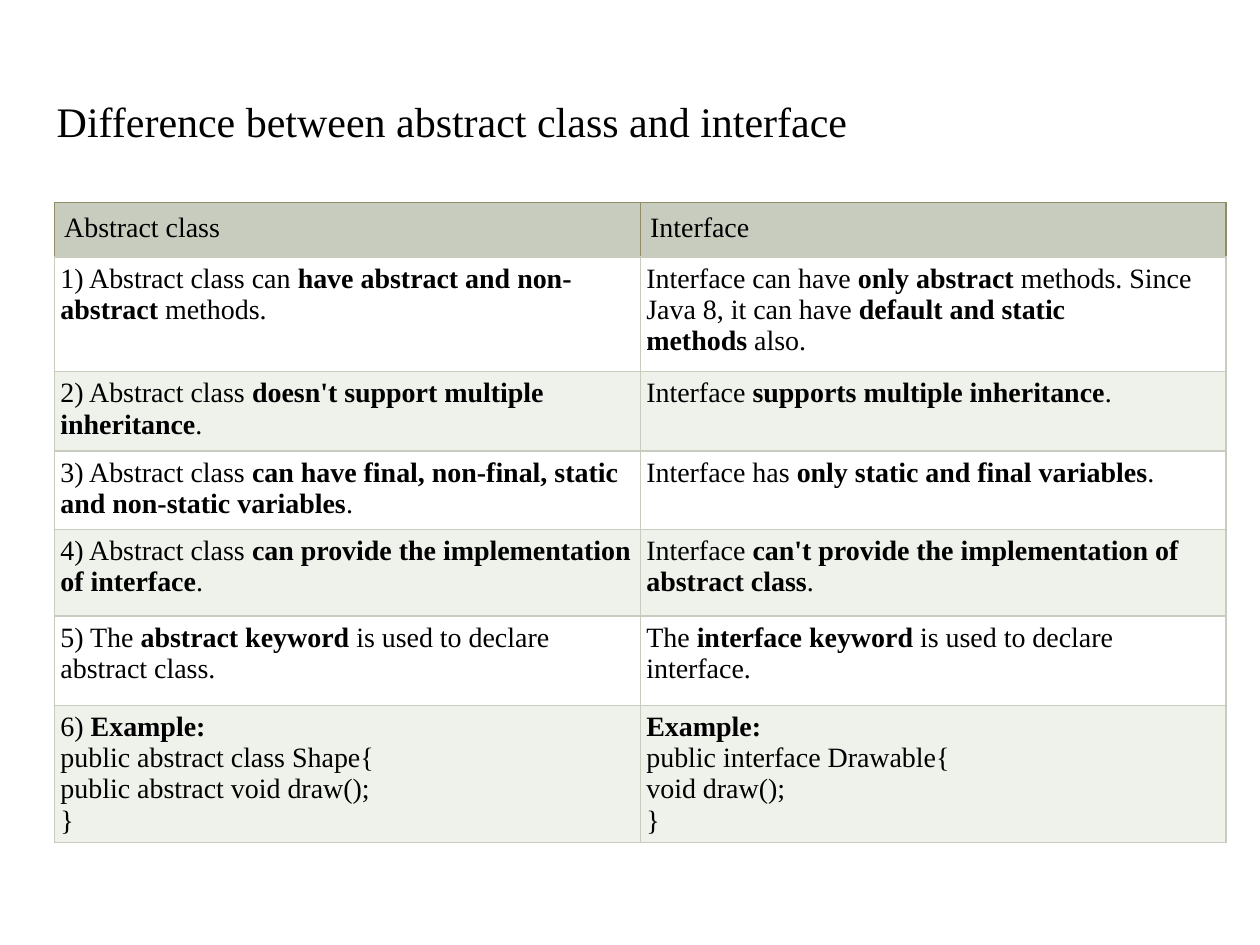
from lxml import etree
from pptx import Presentation
from pptx.dml.color import RGBColor
from pptx.enum.text import MSO_ANCHOR, PP_ALIGN
from pptx.oxml.ns import qn
from pptx.util import Inches, Pt

TOP, LEFT = MSO_ANCHOR.TOP, PP_ALIGN.LEFT
TITLE_ONLY = 5
NBSP = chr(160)

COLORS = {
    "text": "000000",
    "header": "C7CCBE",
    "odd": "FFFFFF",
    "even": "EFF1EB",
    "grid": "C7CCBE",
    "header_edge": "908C66",
}

# Words between ** are bold; each line is a paragraph
ROWS = [
    ("Abstract class", "Interface"),
    ("1) Abstract class can **have abstract and non-abstract** methods.",
     "Interface can have **only abstract** methods. Since Java 8, it can have "
     "**default and static methods** also."),
    ("2) Abstract class **doesn't support multiple inheritance**.",
     "Interface **supports multiple inheritance**."),
    ("3) Abstract class **can have final, non-final, static and non-static variables**.",
     "Interface has **only static and final variables**."),
    ("4) Abstract class **can provide the implementation of interface**.",
     "Interface **can't provide the implementation of abstract class**."),
    ("5) The **abstract keyword** is used to declare abstract class.",
     "The **interface keyword** is used to declare interface."),
    ("6) **Example:**\npublic abstract class Shape{\npublic abstract void draw();\n}",
     "**Example:**\npublic interface Drawable{\nvoid draw();\n}"),
]
ROW_HEIGHTS = [0.43, 0.91, 0.63, 0.62, 0.69, 0.71, 1.07]
COL_WIDTH = 4.65


class SlideBuilder:
    font = "Times New Roman"
    title_size = 24
    cell_size = 16
    border_width = 0.75

    def __init__(self, prs):
        self.slide = prs.slides.add_slide(prs.slide_layouts[TITLE_ONLY])

    def add_text(self, tf, text, size):
        """Fill a text frame, joining bold words to their neighbours."""
        text = text.replace(" **", NBSP + "**").replace("** ", "**" + NBSP)
        for i, line in enumerate(text.split("\n")):
            p = tf.paragraphs[0] if i == 0 else tf.add_paragraph()
            p.alignment = LEFT
            for j, part in enumerate(line.split("**")):
                if not part:
                    continue
                r = p.add_run()
                r.text = part
                font = {"name": self.font, "size": Pt(size), "bold": j % 2 == 1}
                for key, value in font.items():
                    setattr(r.font, key, value)
                r.font.color.rgb = RGBColor.from_string(COLORS["text"])

    def title(self, text, left, top, width, height):
        sp = self.slide.shapes.title
        box = {"left": left, "top": top, "width": width, "height": height}
        for key, value in box.items():
            setattr(sp, key, Inches(value))
        tf = sp.text_frame
        frame = {"vertical_anchor": TOP, "word_wrap": True, "margin_top": Inches(0.08)}
        for key, value in frame.items():
            setattr(tf, key, value)
        self.add_text(tf, text, self.title_size)

    def borders(self, cell, edges):
        tc_pr = cell._tc.get_or_add_tcPr()
        for i, (side, color) in enumerate(edges.items()):
            ln = etree.Element(qn("a:" + side), w=str(Pt(self.border_width)))
            fill = etree.SubElement(ln, qn("a:solidFill"))
            etree.SubElement(fill, qn("a:srgbClr"), val=COLORS[color])
            tc_pr.insert(i, ln)

    def cell(self, cell, text, fill, inset, edge):
        for side in ("left", "right", "top", "bottom"):
            setattr(cell, "margin_" + side, Inches(inset))
        cell.vertical_anchor = TOP
        cell.fill.solid()
        cell.fill.fore_color.rgb = RGBColor.from_string(COLORS[fill])
        self.add_text(cell.text_frame, text, self.cell_size)
        self.borders(cell, {"lnL": edge, "lnR": edge, "lnT": edge, "lnB": "grid"})

    def table(self, rows, left, top, col_width, row_heights):
        n_cols = len(rows[0])
        table = self.slide.shapes.add_table(
            len(rows), n_cols, Inches(left), Inches(top),
            Inches(col_width * n_cols), Inches(sum(row_heights))).table
        for col in table.columns:
            col.width = Inches(col_width)
        for i, (texts, height) in enumerate(zip(rows, row_heights)):
            table.rows[i].height = Inches(height)
            if i == 0:
                style = ("header", 0.08, "header_edge")
            else:
                style = ("odd" if i % 2 else "even", 0.05, "grid")
            for j, text in enumerate(texts):
                self.cell(table.cell(i, j), text, *style)


def main():
    prs = Presentation()
    prs.slide_width, prs.slide_height = Inches(10), Inches(7.5)
    s = SlideBuilder(prs)

    # Heading
    s.title("Difference between abstract class and interface", 0.35, 0.68, 9, 1.25)

    # Comparison table
    s.table(ROWS, 0.43, 1.61, COL_WIDTH, ROW_HEIGHTS)

    prs.save("out.pptx")


if __name__ == "__main__":
    main()
